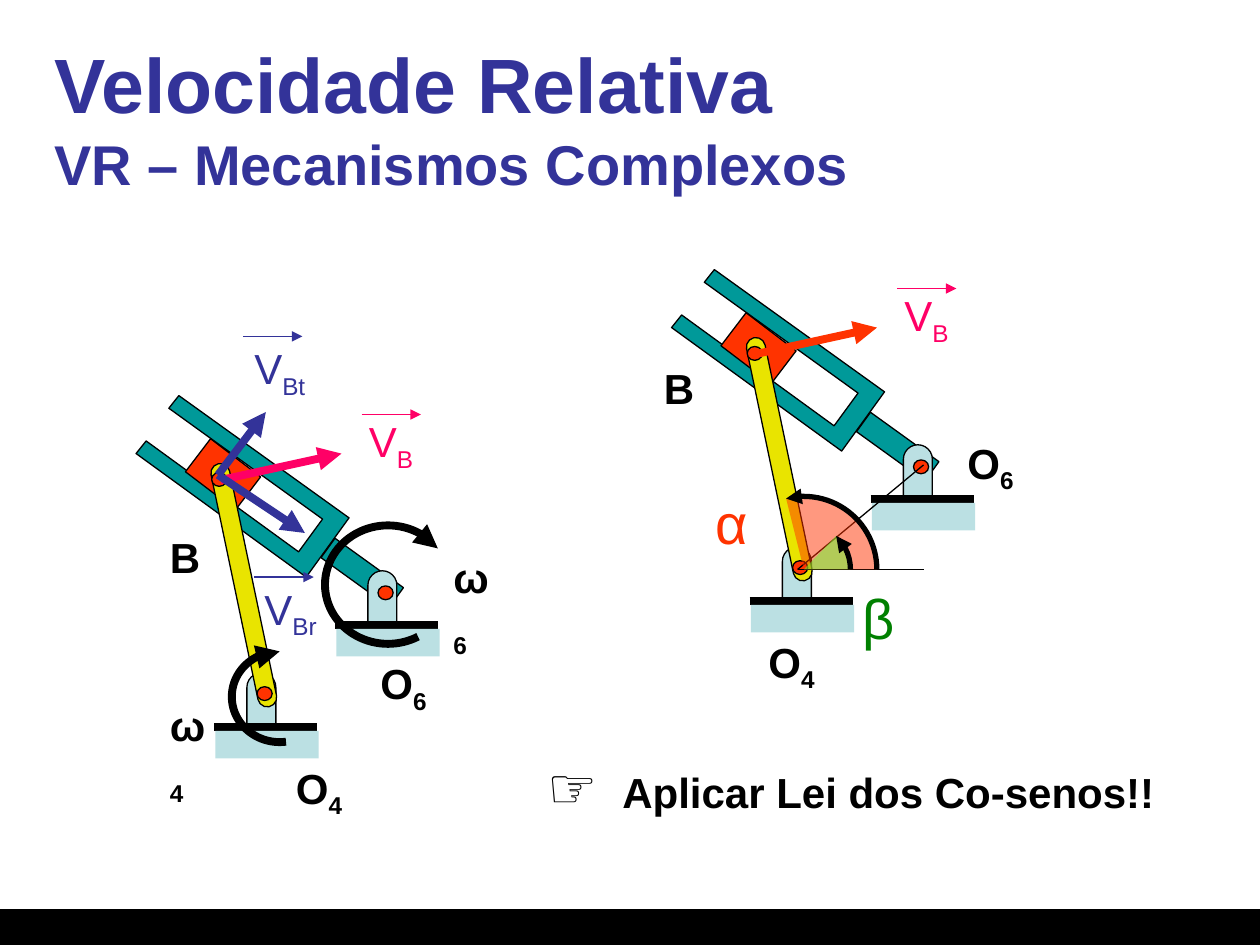
import pptx
import pptx.util
import pptx.dml.color
import pptx.enum.shapes
import pptx.enum.text
import pptx.oxml
import pptx.oxml.ns
from lxml import etree

Inches, Pt = pptx.util.Inches, pptx.util.Pt
RGBColor = pptx.dml.color.RGBColor
SHAPE = pptx.enum.shapes.MSO_SHAPE
ALIGN = pptx.enum.text.PP_ALIGN
qn = pptx.oxml.ns.qn

BLACK = RGBColor(0x00, 0x00, 0x00)
TEAL = RGBColor(0x00, 0x99, 0x99)
RED = RGBColor(0xFF, 0x33, 0x00)
PALE = RGBColor(0xBB, 0xE0, 0xE3)
YELLOW = RGBColor(0xE9, 0xE4, 0x00)
PINK = RGBColor(0xFF, 0x00, 0x66)
NAVY = RGBColor(0x33, 0x33, 0x99)
GREEN = RGBColor(0x00, 0x80, 0x00)
LIME = RGBColor(0x66, 0xFF, 0x33)

FORK = [(1.16, 3.5), (2.37, 4.38), (2.56, 4.12), (1.34, 3.24), (1.42, 3.14),
        (2.77, 4.11), (2.43, 4.58), (1.08, 3.6)]


def paint(shape, fill, line=BLACK, width=0.75):
    shape.shadow.inherit = False
    if fill is None:
        shape.fill.background()
    else:
        shape.fill.solid()
        shape.fill.fore_color.rgb = fill
    if line is None:
        shape.line.fill.background()
    else:
        shape.line.color.rgb = line
        shape.line.width = Pt(width)


def add_part(page, kind, left, top, width, height, fill, line=BLACK, turn=0):
    shape = page.shapes.add_shape(
        kind, Inches(left), Inches(top), Inches(width), Inches(height))
    paint(shape, fill, line)
    shape.rotation = turn
    if kind == SHAPE.ROUNDED_RECTANGLE:
        shape.adjustments[0] = 0.5
    return shape


def add_arrowhead(shape, end):
    outline = shape.line._get_or_add_ln()
    etree.SubElement(outline, qn("a:" + end), type="triangle")


def add_line(page, x1, y1, x2, y2, color=BLACK, width=0.75, arrow=False):
    line = page.shapes.add_connector(
        pptx.enum.shapes.MSO_CONNECTOR.STRAIGHT,
        Inches(x1), Inches(y1), Inches(x2), Inches(y2))
    line.line.color.rgb = color
    line.line.width = Pt(width)
    if arrow:
        add_arrowhead(line, "tailEnd")
    etree.SubElement(line._element.spPr, qn("a:effectLst"))


def add_arc(page, x, y, rx, ry, start, stop, end, width=4.5, fill=None):
    """Clockwise arc about (x, y), angles in degrees, arrow at one end."""
    arc = add_part(page, SHAPE.ARC, x - rx, y - ry, 2 * rx, 2 * ry, fill)
    arc.line.width = Pt(width)
    # Arc guides are 60000ths of a degree; adjustments are 100000ths
    arc.adjustments[0] = start * 0.6
    arc.adjustments[1] = stop * 0.6
    add_arrowhead(arc, end)
    if fill is not None:
        color = arc._element.spPr.find(qn("a:solidFill"))[0]
        etree.SubElement(color, qn("a:alpha"), val="50000")


def add_text(page, left, top, width, height=0.5, wrap=False):
    box = page.shapes.add_textbox(
        Inches(left), Inches(top), Inches(width), Inches(height))
    box.text_frame.word_wrap = wrap
    para = box.text_frame.paragraphs[0]
    para.font.name = "Arial"
    return para


def add_label(page, left, top, width, base, sub="", color=BLACK, bold=True,
              size=24, height=0.5, wrap=False):
    para = add_text(page, left, top, width, height, wrap)
    para.font.size = Pt(size)
    para.font.bold = bold
    para.font.color.rgb = color
    para.add_run().text = base
    if sub:
        span = para.add_run()
        span.text = sub
        span._r.get_or_add_rPr().set("baseline", "-25000")


def add_vector_name(page, left, top, width, sub, color, dx, dy):
    """Letter V with its subscript and the small arrow above it."""
    add_label(page, left, top, width, "V", sub, color, False)
    add_line(page, left + dx, top + dy, left + dx + 0.47, top + dy,
             color, arrow=True)


def add_support(page, x, y):
    add_part(page, SHAPE.ROUNDED_RECTANGLE, x, y, 0.23, 0.65, PALE)
    add_line(page, x - 0.26, y + 0.43, x + 0.56, y + 0.43, width=4.5)
    add_part(page, SHAPE.RECTANGLE, x - 0.25, y + 0.46, 0.82, 0.22, PALE, None)


def add_pin(page, x, y):
    add_part(page, SHAPE.OVAL, x, y, 0.12, 0.11, RED)


def add_mechanism(page, dx=0, dy=0):
    # Slotted fork with its arm and sliding block
    points = [(Inches(x + dx), Inches(y + dy)) for x, y in FORK]
    builder = page.shapes.build_freeform(*points[0])
    builder.add_line_segments(points[1:], close=True)
    paint(builder.convert_to_shape(), TEAL)
    add_part(page, SHAPE.RECTANGLE, 2.78 + dx, 4.21 + dy, 0.19, 0.67, TEAL,
             turn=305.8)
    add_part(page, SHAPE.RECTANGLE, 1.52 + dx, 3.6 + dy, 0.5, 0.33, RED,
             turn=37.3)
    # Crank on its support
    add_support(page, 1.96 + dx, 5.34 + dy)
    add_part(page, SHAPE.ROUNDED_RECTANGLE, 1.86 + dx, 3.66 + dy, 0.15, 1.97,
             YELLOW, turn=348.2)
    add_pin(page, 1.68 + dx, 3.75 + dy)
    add_pin(page, 2.04 + dx, 5.45 + dy)
    # Support of the fork
    add_support(page, 2.92 + dx, 4.53 + dy)
    add_pin(page, 3 + dx, 4.65 + dy)


def add_title(page):
    title = page.shapes.title
    title.left, title.top = Inches(0.33), Inches(0.3)
    title.width, title.height = Inches(9.33), Inches(1.25)
    frame = title.text_frame
    frame.auto_size = pptx.enum.text.MSO_AUTO_SIZE.NONE
    frame.vertical_anchor = pptx.enum.text.MSO_ANCHOR.MIDDLE
    para = frame.paragraphs[0]
    para.alignment = ALIGN.LEFT
    para.font.name = "Arial"
    para.font.bold = True
    para.font.color.rgb = NAVY
    for text, size in (("Velocidade Relativa", 44),
                       ("VR – Mecanismos Complexos", 32)):
        if para.runs:
            para.add_line_break()
        span = para.add_run()
        span.text = text
        span.font.size = Pt(size)


def add_velocity_diagram(page):
    add_mechanism(page)
    add_arc(page, 3.08, 4.64, 0.5, 0.47, 60, 324, "tailEnd")
    add_label(page, 3.5, 4.33, 0.53, "ω", "6", wrap=True)
    add_line(page, 1.75, 3.81, 2.71, 3.6, PINK, 4.5, True)
    add_vector_name(page, 2.83, 3.25, 0.57, "B", PINK, 0.04, 0.04)
    add_label(page, 2.25, 6, 0.58, "O", "4")
    add_label(page, 1.25, 4.17, 0.44, "B")
    add_label(page, 2.92, 5.17, 0.58, "O", "6")
    add_vector_name(page, 1.92, 2.67, 0.63, "Bt", NAVY, 0.01, 0)
    add_line(page, 1.73, 3.77, 2.42, 4.23, NAVY, 4.5, True)
    add_line(page, 1.73, 3.77, 2.11, 3.27, NAVY, 4.5, True)
    add_vector_name(page, 2, 4.58, 0.65, "Br", NAVY, 0.02, 0)
    add_arc(page, 2.22, 5.53, 0.38, 0.36, 82, 270, "tailEnd")
    add_label(page, 1.25, 5.5, 0.53, "ω", "4", wrap=True)


def add_angle_diagram(page):
    add_mechanism(page, 4.25, -1)
    add_line(page, 6, 2.81, 6.96, 2.6, RED, 4.5, True)
    add_vector_name(page, 7.08, 2.25, 0.57, "B", PINK, 0.04, 0.04)
    add_label(page, 6, 5, 0.58, "O", "4")
    add_label(page, 5.17, 2.83, 0.44, "B")
    add_label(page, 7.58, 3.42, 0.58, "O", "6")
    # Angles between the crank, the line of centres and the horizontal
    add_line(page, 6.33, 4.52, 7.33, 3.69)
    add_line(page, 6.33, 4.52, 7.33, 4.52)
    add_arc(page, 6.38, 4.52, 0.58, 0.58, 256, 0, "headEnd", 3, RED)
    add_arc(page, 6.38, 4.52, 0.37, 0.37, 314, 0, "headEnd", 3, LIME)
    add_label(page, 5.58, 3.83, 0.48, "α", "", RED, False, 32, 0.63)
    add_label(page, 6.75, 4.58, 0.45, "β", "", GREEN, False, 32, 0.63)


def add_hint(page):
    para = add_text(page, 4.25, 5.92, 5.03, 0.63)
    para.font.color.rgb = BLACK
    for text, size, bold in (("☞ ", 32, False), (" ", 18, False),
                             ("Aplicar Lei dos Co-senos!!", 24, True)):
        span = para.add_run()
        span.text = text
        span.font.size = Pt(size)
        span.font.bold = bold


def main():
    deck = pptx.Presentation()
    deck.slide_width, deck.slide_height = Inches(10), Inches(7.5)
    page = deck.slides.add_slide(deck.slide_layouts[5])
    add_part(page, SHAPE.RECTANGLE, 0, 7.22, 10, 0.28, BLACK)
    add_title(page)
    add_velocity_diagram(page)
    add_angle_diagram(page)
    add_hint(page)
    deck.save("out.pptx")


main()
